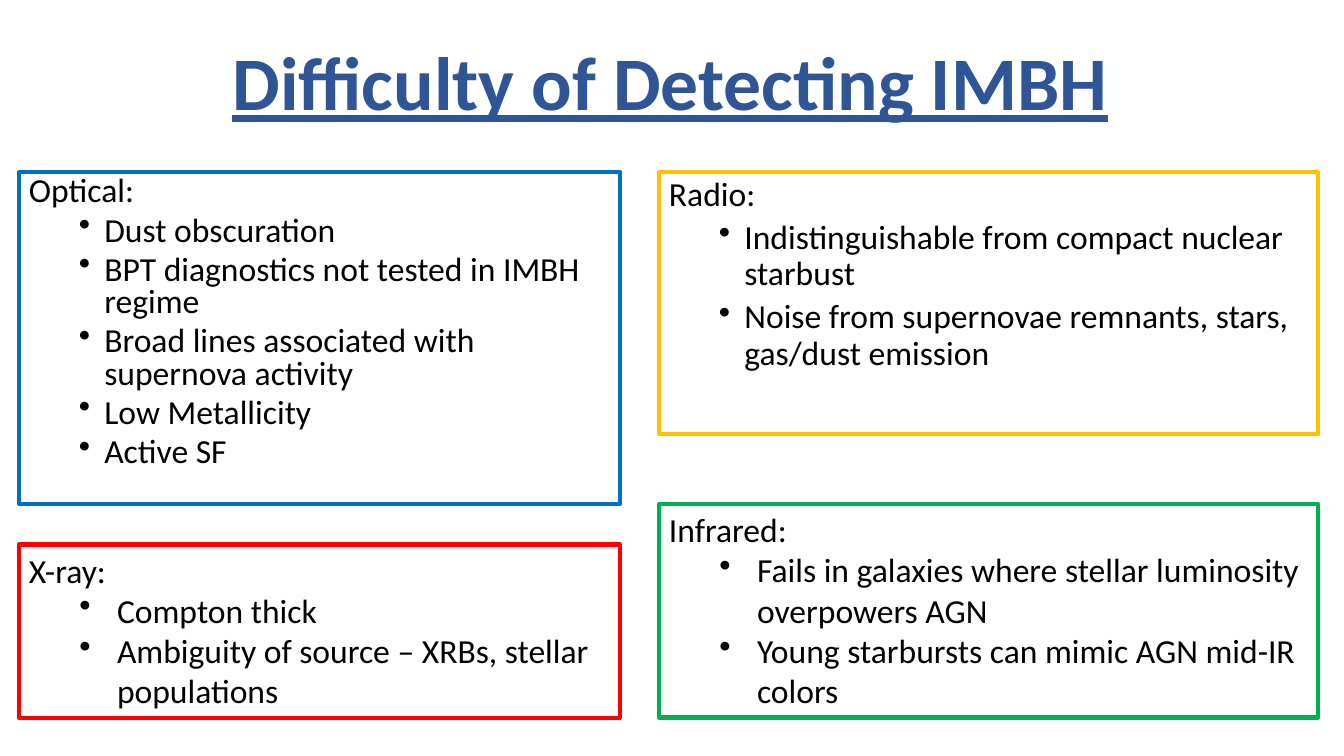
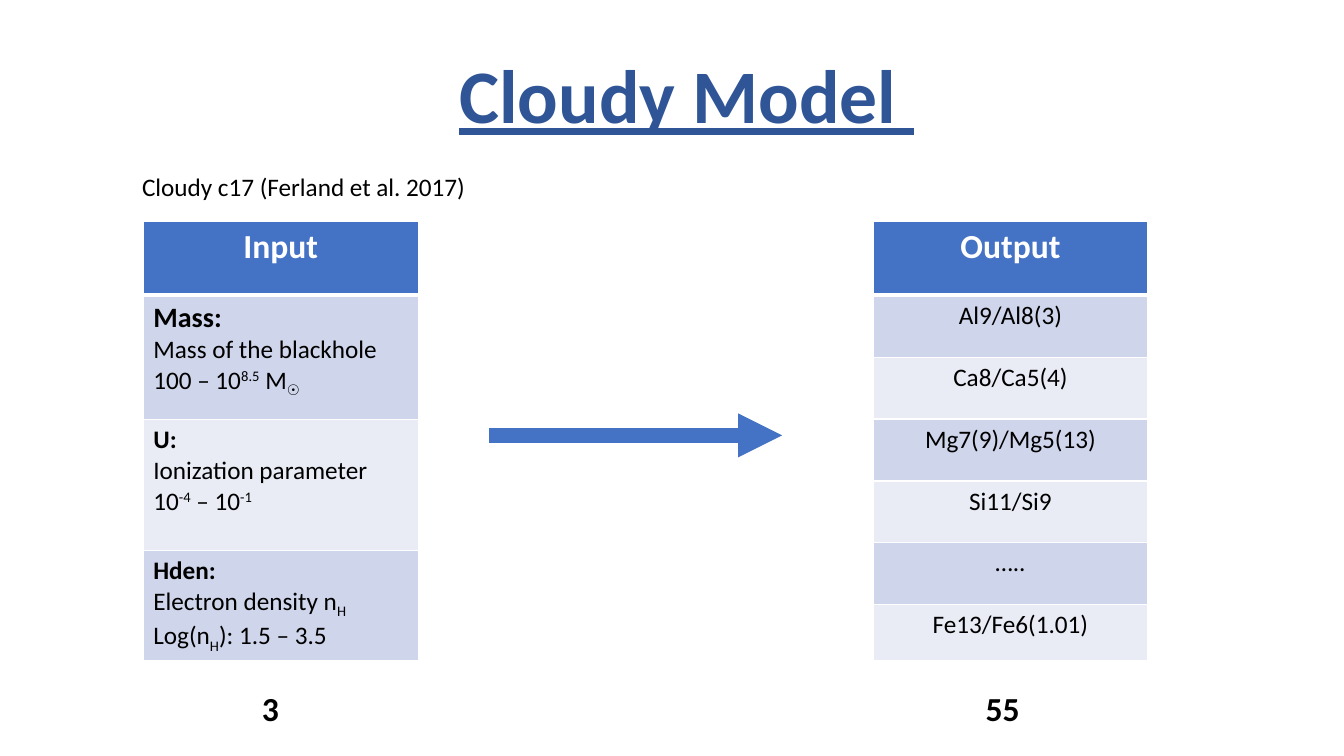
"""Build two slides on detecting IMBHs and on the Cloudy model."""
from lxml.etree import SubElement
from pptx import Presentation
from pptx.dml.color import RGBColor
from pptx.enum.shapes import MSO_CONNECTOR as Connector, MSO_SHAPE as Shape
from pptx.enum.text import MSO_ANCHOR as Anchor, PP_ALIGN as Align
from pptx.oxml.ns import qn
from pptx.util import Cm, Pt

COLORS = {
    "title": "2F5597", "text": "000000", "white": "FFFFFF", "accent": "4472C4",
    "dark band": "CFD5EA", "light band": "E9EBF5",
    "optical": "0070C0", "x-ray": "FF0000", "radio": "FFC000", "infrared": "00B050",
}
FONT = "Calibri"
TITLE = {"size": Pt(54), "bold": True, "underline": True}
LARGE = {"size": Pt(24)}
LARGE_BOLD = {"size": Pt(24), "bold": True}
MEDIUM_BOLD = {"size": Pt(20), "bold": True}
SMALL = {"size": Pt(18)}
SMALL_BOLD = {"size": Pt(18), "bold": True}

TIGHT = {"indent": 1.9, "hang": 0.64, "before": Pt(5)}
LOOSE = {"indent": 2.22, "hang": 0.95, "before": Pt(0)}
LEFT_COLUMN, RIGHT_COLUMN = (0.48, 15.14), (16.61, 16.61)
BOXES = [
    ("optical", LEFT_COLUMN, (4.34, 8.36), 0.8, TIGHT, "Optical:", [
        "Dust obscuration",
        "BPT diagnostics not tested in IMBH regime",
        "Broad lines associated with supernova activity",
        "Low Metallicity",
        "Active SF",
    ]),
    ("x-ray", LEFT_COLUMN, (13.72, 4.37), 1.0, LOOSE, "X-ray:", [
        "Compton thick",
        "Ambiguity of source – XRBs, stellar populations",
    ]),
    ("radio", RIGHT_COLUMN, (4.34, 6.6), 0.9, TIGHT, "Radio:", [
        "Indistinguishable from compact nuclear starbust",
        "Noise from supernovae remnants, stars, gas/dust emission",
    ]),
    ("infrared", RIGHT_COLUMN, (12.7, 5.38), 1.0, LOOSE, "Infrared:", [
        "Fails in galaxies where stellar luminosity overpowers AGN",
        "Young starbursts can mimic AGN mid-IR colors",
    ]),
]

SUPER, SUB = "30000", "-25000"
INPUTS = [
    (3.14, MEDIUM_BOLD, "Mass:", "Mass of the blackhole",
     ["100 – 10", ("8.5", SUPER), " M", ("☉", SUB)]),
    (3.3, SMALL_BOLD, "U:", "Ionization parameter",
     ["10", ("-4", SUPER), " – 10", ("-1", SUPER)]),
    (2.77, SMALL_BOLD, "Hden:", ["Electron density n", ("H", SUB)],
     ["Log(n", ("H", SUB), "): 1.5 – 3.5"]),
]
OUTPUTS = ["Al9/Al8(3)", "Ca8/Ca5(4)", "Mg7(9)/Mg5(13)", "Si11/Si9", "…..",
           "Fe13/Fe6(1.01)"]
INPUT_LEFT, OUTPUT_LEFT, TABLE_TOP, TABLE_WIDTH = 3.61, 22, 5.59, 6.93
HEADER_HEIGHT, OUTPUT_HEIGHT, LAST_HEIGHT = 1.85, 1.56, 1.4
COUNTS = [("3", 6.35), ("55", 24.59)]
ARROW_START, ARROW_END, ARROW_Y = 12.32, 19.71, 10.97


def rgb(name):
    return RGBColor.from_string(COLORS[name])


def write(paragraph, parts, style, color="text"):
    for part in [parts] if isinstance(parts, str) else parts:
        text, baseline = (part, None) if isinstance(part, str) else part
        run = paragraph.add_run()
        run.text = text
        for name, value in {"name": FONT, **style}.items():
            setattr(run.font, name, value)
        run.font.color.rgb = rgb(color)
        if baseline:
            run.font._element.set("baseline", baseline)


def next_paragraph(frame):
    first = frame.paragraphs[0]
    return frame.add_paragraph() if first.runs else first


def add_text(slide, text, left, top, width, height, style, color="text"):
    frame = slide.shapes.add_textbox(Cm(left), Cm(top), Cm(width), Cm(height)).text_frame
    frame.word_wrap = True
    write(frame.paragraphs[0], text, style, color)


def add_bullet(paragraph, indent, hang):
    properties = paragraph._p.get_or_add_pPr()
    for name, value in {"lvl": 1, "marL": Cm(indent), "indent": -Cm(hang)}.items():
        properties.set(name, str(value))
    SubElement(properties, qn("a:buChar"), char="•")


def add_box(slide, color, column, row, spacing, bullet, heading, items):
    (left, width), (top, height) = column, row
    box = slide.shapes.add_shape(Shape.RECTANGLE, Cm(left), Cm(top), Cm(width), Cm(height))
    box.shadow.inherit = False
    box.fill.background()
    box.line.color.rgb = rgb(color)
    box.line.width = Pt(3)
    frame = box.text_frame
    frame.word_wrap = True
    frame.vertical_anchor = Anchor.TOP
    for index, text in enumerate([heading, *items]):
        paragraph = next_paragraph(frame)
        if index:
            add_bullet(paragraph, bullet["indent"], bullet["hang"])
            paragraph.space_before = bullet["before"]
        paragraph.alignment = Align.LEFT
        paragraph.line_spacing = spacing
        write(paragraph, text, LARGE)


def add_borders(cell, bottom):
    properties = cell._tc.get_or_add_tcPr()
    for side, width in {"L": 1, "R": 1, "T": 1, "B": bottom}.items():
        line = SubElement(properties, qn(f"a:ln{side}"), w=str(Pt(width)))
        fill = SubElement(line, qn("a:solidFill"))
        SubElement(fill, qn("a:srgbClr"), val=COLORS["white"])


def add_column_table(slide, left, heading, rows, alignment):
    """Add a one-column table from (height, [(parts, style), ...]) rows."""
    rows = [(HEADER_HEIGHT, [(heading, LARGE_BOLD)]), *rows]
    total = sum(height for height, _ in rows)
    table = slide.shapes.add_table(
        len(rows), 1, Cm(left), Cm(TABLE_TOP), Cm(TABLE_WIDTH), Cm(total)).table
    table.horz_banding = False
    for index, (height, lines) in enumerate(rows):
        table.rows[index].height = Cm(height)
        cell = table.cell(index, 0)
        header = index == 0
        add_borders(cell, 3 if header else 1)
        band = "dark band" if index % 2 else "light band"
        cell.fill.solid()
        cell.fill.fore_color.rgb = rgb("accent" if header else band)
        for parts, style in lines:
            paragraph = next_paragraph(cell.text_frame)
            paragraph.alignment = Align.CENTER if header else alignment
            write(paragraph, parts, {"bold": False, **style}, "white" if header else "text")


def add_arrow(slide):
    arrow = slide.shapes.add_connector(
        Connector.STRAIGHT, Cm(ARROW_START), Cm(ARROW_Y), Cm(ARROW_END), Cm(ARROW_Y))
    arrow.line.color.rgb = rgb("accent")
    arrow.line.width = Pt(10.5)
    SubElement(arrow.line._get_or_add_ln(), qn("a:tailEnd"), type="triangle")
    SubElement(arrow._element.spPr, qn("a:effectLst"))


def add_slide(presentation, title, left, top, width):
    slide = presentation.slides.add_slide(presentation.slide_layouts[6])
    add_text(slide, title, left, top, width, 2.57, TITLE, "title")
    return slide


def main():
    presentation = Presentation()
    presentation.slide_width, presentation.slide_height = Cm(33.87), Cm(19.05)

    slide = add_slide(presentation, "Difficulty of Detecting IMBH", 5.61, 0.76, 26.77)
    for box in BOXES:
        add_box(slide, *box)

    slide = add_slide(presentation, "Cloudy Model ", 11.33, 1.09, 12.09)
    add_text(slide, "Cloudy c17 (Ferland et al. 2017)", 3.33, 4.19, 17.17, 1.03, SMALL)
    inputs = [(height, [(name, style), (meaning, SMALL), (values, SMALL)])
              for height, style, name, meaning, values in INPUTS]
    add_column_table(slide, INPUT_LEFT, "Input", inputs, Align.LEFT)
    heights = [OUTPUT_HEIGHT] * (len(OUTPUTS) - 1) + [LAST_HEIGHT]
    outputs = [(height, [(ratio, SMALL)]) for height, ratio in zip(heights, OUTPUTS)]
    add_column_table(slide, OUTPUT_LEFT, "Output", outputs, Align.CENTER)
    add_arrow(slide)
    for count, left in COUNTS:
        add_text(slide, count, left, 17.2, 5.08, 1.27, LARGE_BOLD)

    presentation.save("out.pptx")


if __name__ == "__main__":
    main()
